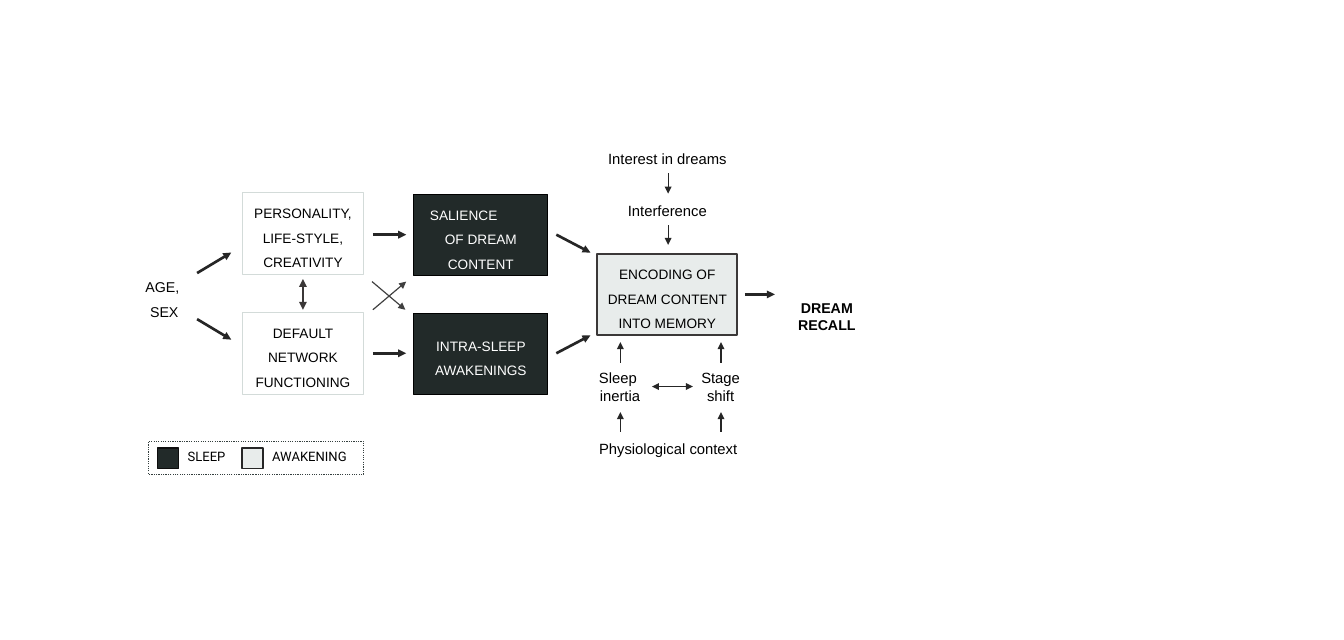
from lxml.etree import SubElement as Sub
from pptx import Presentation
from pptx.dml.color import RGBColor as RGB
from pptx.enum.dml import MSO_LINE as DASH
from pptx.enum.shapes import MSO_CONNECTOR as CONN, MSO_SHAPE as SHAPE
from pptx.enum.text import MSO_ANCHOR as ANCHOR, MSO_AUTO_SIZE as FIT, PP_ALIGN as ALIGN
from pptx.oxml.ns import qn
from pptx.util import Inches, Pt

COLORS = {
    "black": "000000", "white": "FFFFFF", "sleep": "222A29", "sleep_key": "0D0D0D",
    "awake": "E8ECEB", "awake_line": "3B3838", "trait_line": "D3DBD9",
    "arrow": "262626", "cross": "404040", "legend": "343F3E",
}


class Diagram:
    """Draws the boxes, labels and arrows of the dream recall model."""

    def __init__(self, slide, font="Arial"):
        self.slide = slide
        self.font = font

    def color(self, name):
        return RGB.from_string(COLORS[name])

    def set_text(self, sp, lines, size, color="black", bold=False, spacing=None,
                 align=ALIGN.CENTER, anchor=ANCHOR.TOP, font=None):
        tf = sp.text_frame
        tf.word_wrap = True
        tf.vertical_anchor = anchor
        for i, line in enumerate(lines):
            p = tf.add_paragraph() if i else tf.paragraphs[0]
            p.text = line
            p.alignment = align
            if spacing:
                p.line_spacing = spacing
            p.font.name = font or self.font
            p.font.size = Pt(size)
            p.font.bold = bold
            p.font.color.rgb = self.color(color)
        return tf

    def rect(self, x, y, w, h, fill=None, line=None, weight=1, dash=None):
        sp = self.slide.shapes.add_shape(SHAPE.RECTANGLE, Inches(x), Inches(y), Inches(w), Inches(h))
        sp.shadow.inherit = False
        if fill:
            sp.fill.solid()
            sp.fill.fore_color.rgb = self.color(fill)
        else:
            sp.fill.background()
        if line:
            sp.line.color.rgb = self.color(line)
            sp.line.width = Pt(weight)
            if dash:
                sp.line.dash_style = dash
        else:
            sp.line.fill.background()
        return sp

    def box(self, x, y, w, h, lines, color="black", **style):
        sp = self.rect(x, y, w, h, **style)
        return self.set_text(sp, lines, 11.5, color, spacing=1.5, anchor=ANCHOR.MIDDLE)

    def label(self, x, y, w, h, lines, size=12.5, grow=True, **style):
        sp = self.slide.shapes.add_textbox(Inches(x), Inches(y), Inches(w), Inches(h))
        tf = self.set_text(sp, lines, size, **style)
        tf.auto_size = FIT.SHAPE_TO_FIT_TEXT if grow else FIT.NONE
        return tf

    def arrow(self, x1, y1, x2, y2, weight=1.0, color="arrow", both=False):
        cx = self.slide.shapes.add_connector(CONN.STRAIGHT, Inches(x1), Inches(y1), Inches(x2), Inches(y2))
        cx.line.color.rgb = self.color(color)
        cx.line.width = Pt(weight)
        sp_pr = cx._element.spPr
        ln = sp_pr.find(qn("a:ln"))
        if both:
            Sub(ln, qn("a:headEnd"), type="triangle")
        Sub(ln, qn("a:tailEnd"), type="triangle")
        Sub(sp_pr, qn("a:effectLst"))

    def legend_key(self, x, w, text, fill, line, weight):
        self.rect(x, 5.25, 0.24, 0.24, fill, line, weight)
        tf = self.label(x + 0.25, 5.21, w, 0.29, [text], 11, align=ALIGN.LEFT, font="Roboto")
        tf.word_wrap = False


def main():
    prs = Presentation()
    prs.slide_width, prs.slide_height = Inches(15.75), Inches(7.5)
    d = Diagram(prs.slides.add_slide(prs.slide_layouts[6]))

    d.label(1.45, 2.98, 0.95, 0.96, ["AGE, ", "SEX"], 12, grow=False, spacing=1.5, anchor=ANCHOR.MIDDLE)
    traits = ["PERSONALITY, LIFE-STYLE, CREATIVITY", "DEFAULT NETWORK FUNCTIONING"]
    for y, text in zip((2.26, 3.66), traits):
        d.box(2.84, y, 1.42, 0.96, [text], line="trait_line")

    night = [["SALIENCE", "OF DREAM CONTENT"], ["INTRA-SLEEP AWAKENINGS"]]
    for y, lines in zip((2.28, 3.67), night):
        tf = d.box(4.85, y, 1.57, 0.95, lines, "white", fill="sleep", line="black")
        if len(lines) > 1:
            p = tf.paragraphs[0]
            p.alignment = ALIGN.LEFT
            p._p.get_or_add_pPr().set("marL", str(Inches(0.09)))

    d.box(7, 2.98, 1.64, 0.95, ["ENCODING OF DREAM CONTENT INTO MEMORY"],
          fill="awake", line="awake_line", weight=1.5)
    recall = d.rect(9.02, 3.46, 1.34, 0.47, "white")
    d.set_text(recall, ["DREAM RECALL"], 12, bold=True)

    d.label(7, 1.7, 1.64, 0.31, ["Interest in dreams"])
    d.label(7, 2.32, 1.64, 0.31, ["Interference"])
    d.label(6.85, 4.27, 0.83, 0.52, ["Sleep ", "inertia"])
    d.label(8.03, 4.27, 0.83, 0.52, ["Stage shift"])
    d.label(6.88, 5.1, 1.9, 0.31, ["Physiological context"])

    main_arrows = [
        (2.31, 3.2, 2.71, 2.96), (2.31, 3.74, 2.71, 3.98),
        (4.37, 2.75, 4.76, 2.75), (4.37, 4.14, 4.76, 4.14),
        (6.52, 2.75, 6.92, 2.96), (6.52, 4.14, 6.92, 3.93),
        (8.73, 3.45, 9.08, 3.45),
    ]
    for ends in main_arrows:
        d.arrow(*ends, weight=2.25)
    d.arrow(3.55, 3.63, 3.55, 3.27, 2.25, "awake_line", both=True)
    d.arrow(4.37, 3.63, 4.76, 3.3, color="cross")
    d.arrow(4.36, 3.3, 4.75, 3.63, color="cross")

    for y1, y2 in ((2.03, 2.27), (2.64, 2.87)):
        d.arrow(7.83, y1, 7.83, y2)
    for x in (7.27, 8.45):
        for y1, y2 in ((4.25, 4.01), (5.06, 4.83)):
            d.arrow(x, y1, x, y2)
    d.arrow(8.12, 4.53, 7.64, 4.53, both=True)

    d.legend_key(1.85, 0.65, "SLEEP", "sleep", "sleep_key", 1)
    d.legend_key(2.84, 1.09, "AWAKENING", "awake", "arrow", 1.5)
    d.rect(1.74, 5.17, 2.52, 0.39, line="legend", dash=DASH.ROUND_DOT)

    prs.save("out.pptx")


if __name__ == "__main__":
    main()
